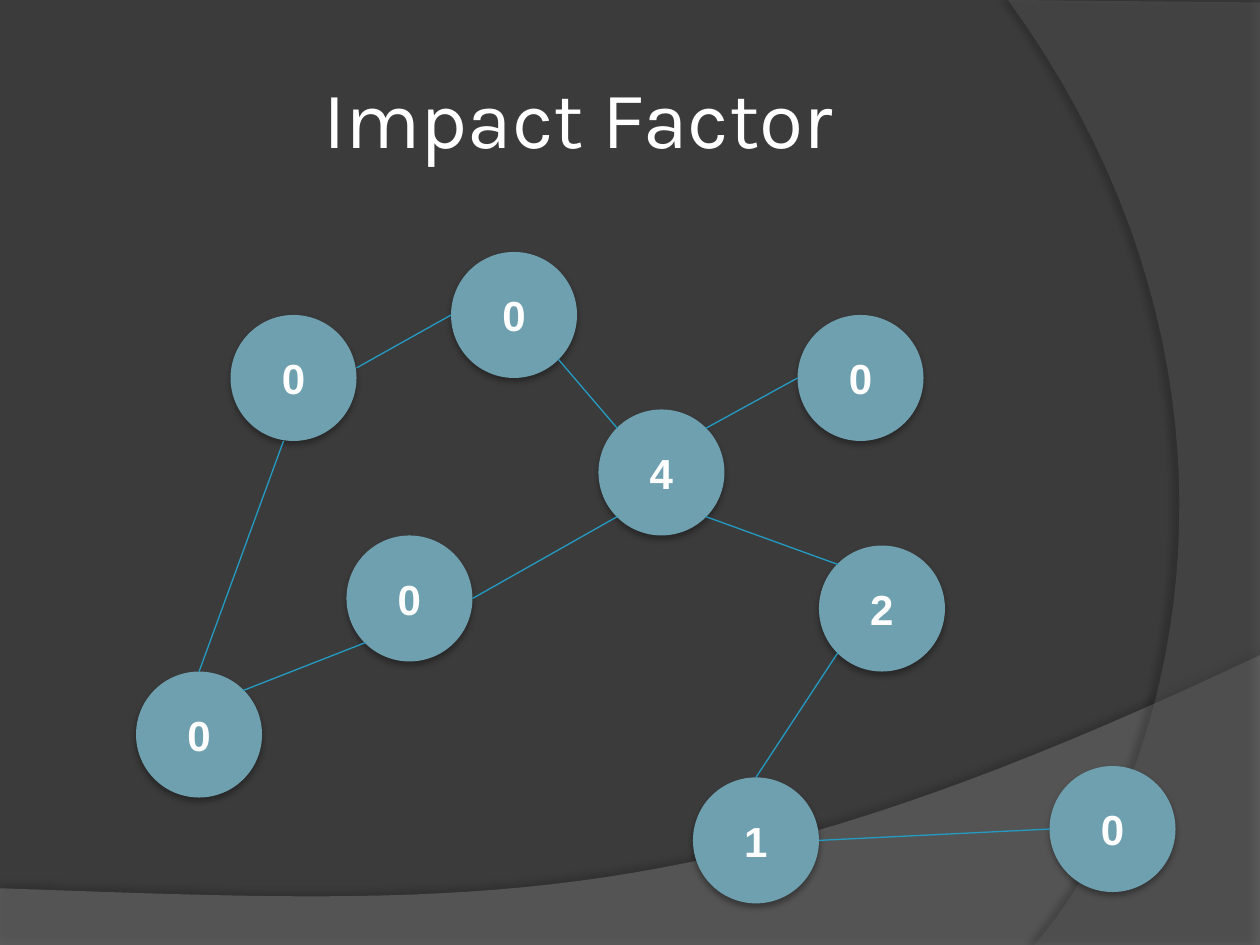
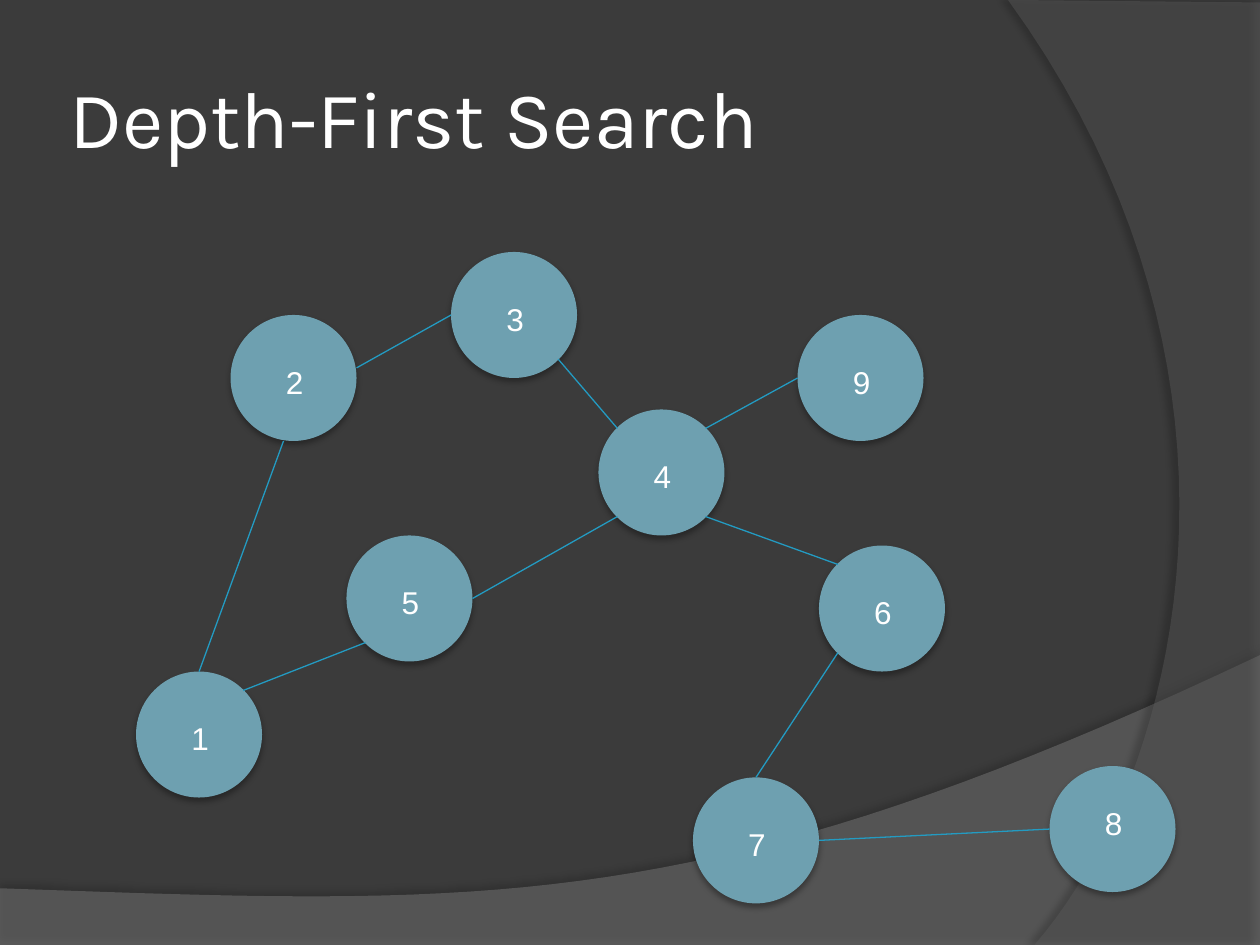
from lxml import etree
from pptx import Presentation, util as u
from pptx.dml.color import RGBColor
from pptx.enum import shapes, text
from pptx.oxml.ns import qn

NODES = {1: (1.08, 5.33), 2: (1.83, 2.5), 3: (3.58, 2), 4: (4.75, 3.25), 5: (2.75, 4.25),
         6: (6.5, 4.33), 7: (5.5, 6.17), 8: (8.33, 6.08), 9: (6.33, 2.5)}
IMPACTS = {4: 4, 6: 2, 7: 1}
PORTS = {"top": (0.5, 0), "left": (0, 0.5), "right": (1, 0.5),
         "top left": (0.15, 0.15), "top right": (0.85, 0.15),
         "bottom left": (0.15, 0.85), "bottom right": (0.85, 0.85),
         "near bottom": (0.42, 1), "near right": (1, 0.42)}
EDGES = [(1, "top", 2, "near bottom"), (1, "top right", 5, "bottom left"),
         (2, "near right", 3, "left"), (5, "right", 4, "bottom left"),
         (7, "top", 6, "bottom left"), (7, "right", 8, "left"),
         (3, "bottom right", 4, "top left"), (4, "top right", 9, "left"),
         (4, "bottom right", 6, "top left")]
BANDS = [
    ([(0, 7.05), (0, 7.5), (10, 7.5), (10, 5.2)], [(5.59, 7.29), (3.91, 7.19), (0, 7.05)],
     "7F7F7F", 45, (35, 4, 3.5, 270)),
    ([(10, 0.02), (10, 7.5), (8.21, 7.5)], [(9.35, 6.19), (10.18, 3), (8, 0)],
     "5E5E5E", 40, (45, 4, 4, 180)),
]


def color(code):
    return RGBColor.from_string(code)


def add_xml(parent, tag, **attributes):
    return etree.SubElement(parent, qn(tag), {name: str(value) for name, value in attributes.items()})


def curve_points(start, first, second, end, steps=40):
    for step in range(1, steps + 1):
        t = step / steps
        s = 1 - t
        yield tuple(s**3 * a + 3 * s * s * t * b + 3 * s * t * t * c + t**3 * d
                    for a, b, c, d in zip(start, first, second, end))


class GraphDeck:
    """Draw node graphs in one dark style, page by page."""

    background, node_fill, edge_color = "3B3B3B", "6EA0B0", "239BC2"
    white, impact_color, impact_outline = "FFFFFF", "FEFEFE", "717881"

    def __init__(self):
        self.deck = Presentation()
        self.deck.slide_width, self.deck.slide_height = u.Inches(10), u.Inches(7.5)
        self.page = None

    def add_page(self, title, align):
        self.page = self.deck.slides.add_slide(self.deck.slide_layouts[6])
        self.page.background.fill.solid()
        self.page.background.fill.fore_color.rgb = color(self.background)
        for band in BANDS:
            self.add_band(*band)
        self.add_title(title, align)

    def paint(self, shape, fill, shadow):
        shape.fill.solid()
        shape.fill.fore_color.rgb = color(fill)
        shape.line.fill.background()
        shape.shadow.inherit = False
        opacity, blur, distance, angle = shadow
        effects = shape._element.spPr.find(qn("a:effectLst"))
        outer = add_xml(effects, "a:outerShdw", blurRad=u.Pt(blur), dist=u.Pt(distance),
                        dir=angle * 60000, rotWithShape=0)
        tint = add_xml(outer, "a:srgbClr", val="000000")
        add_xml(tint, "a:alpha", val=opacity * 1000)

    def add_band(self, corners, curve, fill, opacity, shadow):
        outline = corners + list(curve_points(corners[-1], *curve))
        points = [(u.Inches(x), u.Inches(y)) for x, y in outline]
        builder = self.page.shapes.build_freeform(*points[0])
        builder.add_line_segments(points[1:], close=True)
        band = builder.convert_to_shape()
        self.paint(band, fill, shadow)
        tint = band._element.spPr.find(qn("a:solidFill")).find(qn("a:srgbClr"))
        add_xml(tint, "a:alpha", val=opacity * 1000)

    def add_span(self, para, words, size, font, tone):
        span = para.add_run()
        span.text = words
        span.font.size, span.font.name = u.Pt(size), font
        span.font.color.rgb = color(tone)
        return span

    def add_title(self, words, align):
        box = self.page.shapes.add_textbox(u.Inches(0.5), u.Inches(0.3), u.Inches(8.17), u.Inches(1.25))
        frame = box.text_frame
        frame.word_wrap = True
        frame.vertical_anchor = text.MSO_ANCHOR.MIDDLE
        frame.margin_left = frame.margin_right = u.Inches(0.05)
        frame.margin_top = frame.margin_bottom = u.Inches(0.05)
        frame.paragraphs[0].alignment = align
        self.add_span(frame.paragraphs[0], words, 46, "Karla", self.white)

    def add_node(self, x, y):
        node = self.page.shapes.add_shape(shapes.MSO_SHAPE.OVAL, u.Inches(x), u.Inches(y),
                                          u.Inches(1), u.Inches(1))
        self.paint(node, self.node_fill, (32, 3.5, 2.2, 90))
        return node

    def add_impact(self, node, value):
        frame = node.text_frame
        frame.vertical_anchor = text.MSO_ANCHOR.MIDDLE
        frame.paragraphs[0].alignment = text.PP_ALIGN.CENTER
        span = self.add_span(frame.paragraphs[0], str(value), 24, "Arial", self.impact_color)
        span.font.bold = True
        properties = span._r.get_or_add_rPr()
        properties.set("spc", "50")
        outline = add_xml(properties, "a:ln", w=u.Pt(1))
        add_xml(add_xml(outline, "a:solidFill"), "a:srgbClr", val=self.impact_outline)
        properties.insert(0, outline)

    def add_order(self, number, x, y):
        box = self.page.shapes.add_textbox(u.Inches(x), u.Inches(y), u.Inches(0.34), u.Inches(0.4))
        box.text_frame.word_wrap = False
        box.text_frame.auto_size = text.MSO_AUTO_SIZE.SHAPE_TO_FIT_TEXT
        self.add_span(box.text_frame.paragraphs[0], str(number), 18, "Arial", self.white)

    def add_edge(self, nodes, start, start_port, end, end_port):
        ends = [u.Inches(corner + offset)
                for number, port in ((start, start_port), (end, end_port))
                for corner, offset in zip(NODES[number], PORTS[port])]
        edge = self.page.shapes.add_connector(shapes.MSO_CONNECTOR.STRAIGHT, *ends)
        edge.line.color.rgb = color(self.edge_color)
        edge.line.width = u.Pt(0.75)
        add_xml(edge._element.spPr, "a:effectLst")
        if start_port == "top":
            edge.begin_connect(nodes[start], 0)

    def add_graph(self):
        nodes = {number: self.add_node(*NODES[number]) for number in (3, 7, 8, 2, 5, 1, 4, 6, 9)}
        for edge in EDGES:
            self.add_edge(nodes, *edge)
        return nodes


def main():
    graph = GraphDeck()
    graph.add_page("Impact Factor", text.PP_ALIGN.CENTER)
    for number, node in graph.add_graph().items():
        graph.add_impact(node, IMPACTS.get(number, 0))

    graph.add_page("Depth-First Search", text.PP_ALIGN.LEFT)
    graph.add_graph()
    for number, (x, y) in NODES.items():
        graph.add_order(number, x + 0.34, y + (0.25 if number == 8 else 0.33))
    graph.deck.save("out.pptx")


if __name__ == "__main__":
    main()
